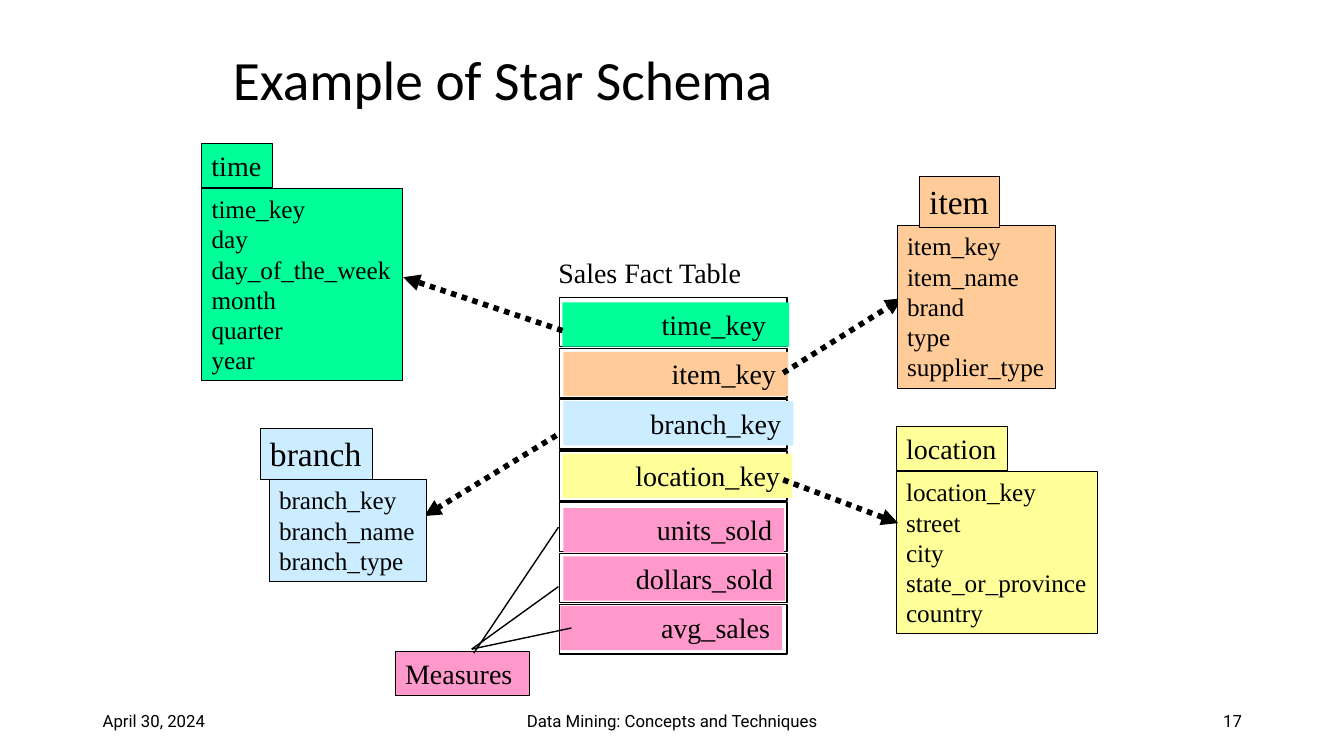
from lxml.etree import SubElement
from pptx import Presentation
from pptx.dml.color import RGBColor
from pptx.enum.dml import MSO_LINE
from pptx.enum.shapes import MSO_CONNECTOR as LINK, MSO_SHAPE as SHAPE
from pptx.enum.text import MSO_ANCHOR as ANCHOR, PP_ALIGN as ALIGN
from pptx.oxml.ns import qn
from pptx.util import Inches, Pt

UNIT = 0.1
BLACK, GREEN, PEACH = "000000", "00FF99", "FFCC99"
BLUE, YELLOW, PINK = "CCECFF", "FFFF99", "FF99CC"
SERIF = "Times New Roman"
FACT_X, FACT_Y, FACT_W, STEP = 55.5, 29.5, 22.6, 5.08


def cells(*counts):
    """Turn counts of grid cells into lengths."""
    return [Inches(count * UNIT) for count in counts]


def paint(color, code):
    """Set a colour from a hex string."""
    color.rgb = RGBColor.from_string(code)


def write(shape, text, size, face=SERIF, align=ALIGN.LEFT, anchor=ANCHOR.TOP):
    """Put formatted text in a shape."""
    frame = shape.text_frame
    frame.text = text
    frame.word_wrap = True
    frame.vertical_anchor = anchor
    for para in frame.paragraphs:
        para.alignment = align
        for run in para.runs:
            run.font.size, run.font.name = Pt(size), face
            paint(run.font.color, BLACK)
    return frame


def add_box(slide, place, fill=None, line=None):
    """Draw a rectangle with an optional fill and outline."""
    box = slide.shapes.add_shape(SHAPE.RECTANGLE, *cells(*place))
    box.shadow.inherit = False
    if fill:
        box.fill.solid()
        paint(box.fill.fore_color, fill)
    else:
        box.fill.background()
    if line:
        box.line.width = Pt(line)
        paint(box.line.color, BLACK)
    else:
        box.line.fill.background()
    return box


def add_card(slide, place, text, size, fill):
    """Draw an outlined box with text at its left."""
    frame = write(add_box(slide, place, fill, 0.75), text, size)
    frame.margin_right = 0


def add_table(slide, tag, head, size, body, fields, fill):
    """Draw a dimension table as a field list and a name tag."""
    add_card(slide, body, "\n".join(fields), 18, fill)
    add_card(slide, tag, head, size, fill)


def add_key(slide, row, name, fill, left, top, width, inset=1.2):
    """Draw one row of the fact table and its coloured key."""
    add_box(slide, (FACT_X, FACT_Y + row * STEP, FACT_W, 4.9), line=1)
    key = add_box(slide, (left, top, width, 4.4), fill)
    frame = write(key, name, 20, align=ALIGN.RIGHT)
    frame.margin_left, frame.margin_right = cells(0, inset)


def add_link(slide, start, end, width=1, arrow=False):
    """Draw a plain line or a dotted arrow."""
    link = slide.shapes.add_connector(LINK.STRAIGHT, *cells(*start, *end))
    link.line.width = Pt(width)
    paint(link.line.color, BLACK)
    if arrow:
        link.line.dash_style = MSO_LINE.ROUND_DOT
        SubElement(link.line._get_or_add_ln(), qn("a:tailEnd"), type="triangle")
    SubElement(link._element.spPr, qn("a:effectLst"))


def add_label(slide, place, text, size, **style):
    """Add a text box."""
    write(slide.shapes.add_textbox(*cells(*place)), text, size, **style)


def add_title(slide, place, text):
    """Move and format the title placeholder."""
    title = slide.shapes.title
    title.left, title.top, title.width, title.height = cells(*place)
    frame = write(title, text, 39.6, "Calibri", anchor=ANCHOR.MIDDLE)
    frame.paragraphs[0].line_spacing = 0.9


def main():
    """Build the slide and save it."""
    deck = Presentation()
    deck.slide_width, deck.slide_height = cells(133.33, 75)
    slide = deck.slides.add_slide(deck.slide_layouts[5])
    add_title(slide, (22.1, 5.4, 85, 5.5), "Example of Star Schema")

    for left, width, text, align in (
        (9.2, 30, "April 30, 2024", ALIGN.LEFT),
        (44.2, 45, "Data Mining: Concepts and Techniques", ALIGN.CENTER),
        (94.2, 30, "17", ALIGN.RIGHT),
    ):
        add_label(slide, (left, 69.5, width, 4), text, 12, face="Roboto",
                  align=align, anchor=ANCHOR.MIDDLE)

    add_table(slide, (20, 14.2, 7, 4.4), "time", 20, (20, 18.7, 19.9, 19.1),
              ("time_key", "day", "day_of_the_week", "month", "quarter", "year"),
              GREEN)
    add_table(slide, (88.9, 42.3, 11.1, 4.4), "location", 20,
              (88.9, 46.8, 20, 16.1),
              ("location_key", "street", "city", "state_or_province", "country"),
              YELLOW)

    add_label(slide, (54.4, 24.9, 20.3, 4.4), "Sales Fact Table", 20)
    keys = (
        ("time_key", GREEN, 55.8, 30, 22.5, 2.3),
        ("item_key", PEACH, 55.9, 34.9, 22.3),
        ("branch_key", BLUE, 55.9, 39.8, 22.8),
        ("location_key", YELLOW, 55.8, 45, 22.8),
        ("units_sold", PINK, 55.9, 50.4, 21.9),
        ("dollars_sold", PINK, 55.9, 55.2, 22),
        ("avg_sales", PINK, 55.6, 60.1, 22),
    )
    for row, key in enumerate(keys):
        add_key(slide, row, *key)

    add_card(slide, (39.2, 64.6, 13.3, 4.4), "Measures", 20, PINK)
    for start, end in (
        ((47, 64.8), (55.4, 52.3)),
        ((46.8, 64.4), (55.4, 58.2)),
        ((46.8, 64.4), (56.7, 62.3)),
    ):
        add_link(slide, start, end)
    for start, end in (
        ((55.2, 43.2), (42.1, 51.2)),
        ((55.8, 32.8), (40, 27.5)),
        ((77.7, 47.6), (89.1, 51.9)),
        ((77.7, 37), (89.5, 29.6)),
    ):
        add_link(slide, start, end, 4, True)

    add_table(slide, (91.2, 17.5, 8, 5.1), "item", 24, (89, 22.4, 15.7, 16.1),
              ("item_key", "item_name", "brand", "type", "supplier_type"), PEACH)
    add_table(slide, (25.8, 42.5, 11.2, 5.1), "branch", 24,
              (26.7, 47.6, 15.6, 10.1),
              ("branch_key", "branch_name", "branch_type"), BLUE)
    deck.save("out.pptx")


if __name__ == "__main__":
    main()
